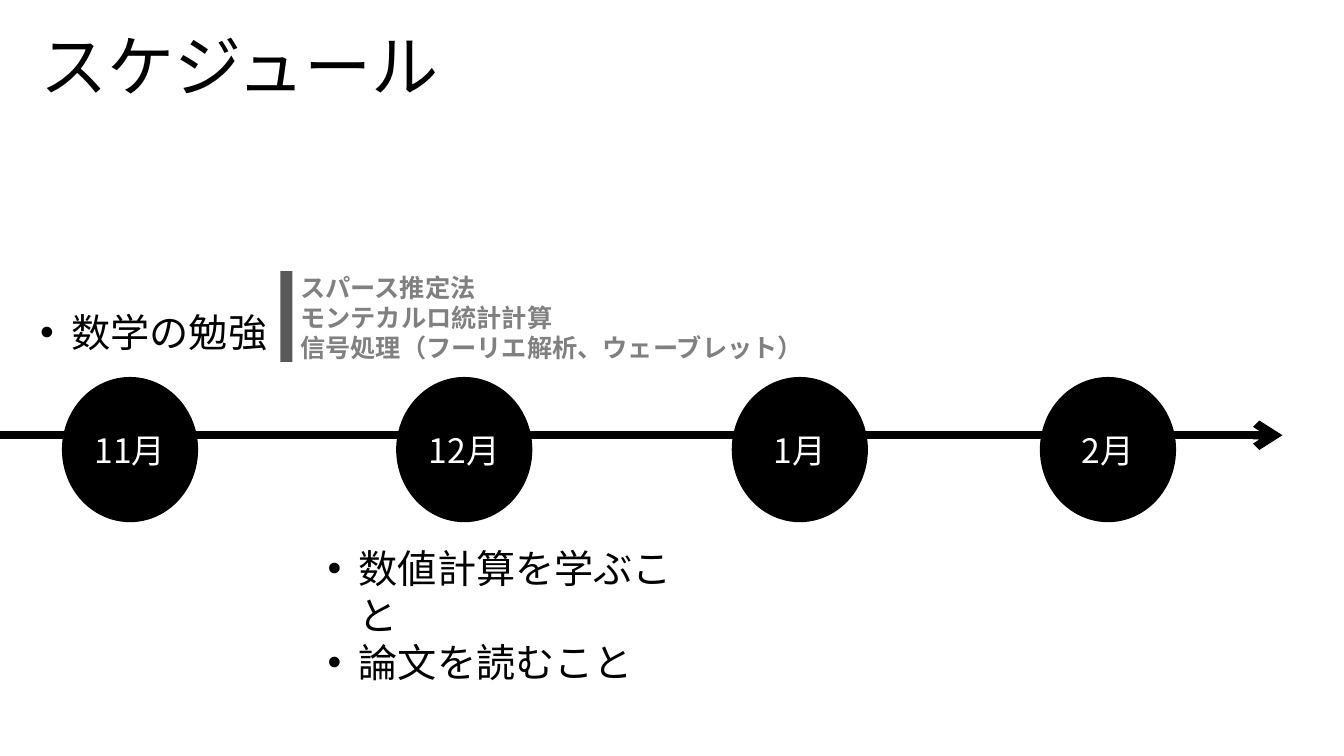
from lxml import etree
from pptx import Presentation, util as u
from pptx.dml.color import RGBColor
from pptx.enum import shapes, text
from pptx.oxml.ns import qn

BLACK = RGBColor(0, 0, 0)
WHITE = RGBColor(255, 255, 255)
GRAY = RGBColor(0x80, 0x80, 0x80)
DARK = RGBColor(0x59, 0x59, 0x59)
FACE = "Noto Sans CJK JP"
WIDE, HIGH = 13.33, 7.5
INDENT = u.Inches(0.31)


def inch(*sizes):
    return [u.Inches(size) for size in sizes]


def write(frame, lines, size, color, bold=False, bullet=False):
    frame.word_wrap = True
    for row, line in enumerate(lines):
        para = frame.add_paragraph() if row else frame.paragraphs[0]
        para.text = line
        if bullet:
            props = para._p.get_or_add_pPr()
            props.set("marL", str(INDENT))
            props.set("indent", str(-INDENT))
            etree.SubElement(props, qn("a:buFont"), typeface="Arial")
            etree.SubElement(props, qn("a:buChar"), char="•")
        font = para.font
        font.name, font.size, font.bold = FACE, u.Pt(size), bold
        font.color.rgb = color
        etree.SubElement(font._element, qn("a:ea"), typeface=FACE)


def add_text(slide, box, lines, size, color=BLACK, **style):
    frame = slide.shapes.add_textbox(*inch(*box)).text_frame
    write(frame, lines, size, color, **style)
    return frame


def add_solid(slide, kind, box, color):
    shape = slide.shapes.add_shape(kind, *inch(*box))
    shape.shadow.inherit = False
    shape.fill.solid()
    shape.fill.fore_color.rgb = color
    shape.line.fill.background()
    return shape


def add_title(slide, box):
    frame = add_text(slide, box, ["スケジュール"], 48)
    frame.vertical_anchor = text.MSO_ANCHOR.BOTTOM
    frame.paragraphs[0].line_spacing = 0.9


def add_axis(slide, box):
    left, top, width, height = box
    mid = top + height * 0.4
    axis = slide.shapes.add_connector(
        shapes.MSO_CONNECTOR.STRAIGHT, *inch(left, mid, left + width, mid))
    axis.line.color.rgb = BLACK
    axis.line.width = u.Pt(6)
    etree.SubElement(axis.line._get_or_add_ln(), qn("a:tailEnd"), type="arrow")
    etree.SubElement(axis._element.spPr, qn("a:effectLst"))


def add_months(slide, box):
    left, top, width, height = box
    months = {"11月": 0.066, "12月": 0.322, "1月": 0.579, "2月": 0.815}
    for name, share in months.items():
        place = (left + width * share, top, 1.33, height)
        disc = add_solid(slide, shapes.MSO_SHAPE.OVAL, place, BLACK)
        disc.line.color.rgb = BLACK
        disc.line.width = u.Pt(1.5)
        write(disc.text_frame, [name], 24, WHITE)
        disc.text_frame.vertical_anchor = text.MSO_ANCHOR.MIDDLE
        disc.text_frame.paragraphs[0].alignment = text.PP_ALIGN.CENTER


def add_topics(slide, box):
    left, top, width, height = box
    topics = ["スパース推定法", "モンテカルロ統計計算",
              "信号処理（フーリエ解析、ウェーブレット）"]
    add_text(slide, (left + 0.1, top, width - 0.1, height),
             topics, 18, GRAY, bold=True)
    add_solid(slide, shapes.MSO_SHAPE.RECTANGLE,
              (left, top + 0.04, 0.12, 0.9), DARK)


def main():
    deck = Presentation()
    deck.slide_width, deck.slide_height = inch(WIDE, HIGH)
    slide = deck.slides.add_slide(deck.slide_layouts[6])
    band = (-0.23, HIGH / 2, 12.95, 1.42)
    add_title(slide, (0.3, -0.3, 4.63, 1.4))
    add_text(slide, (0.3, 3.01, 2.48, 0.57), ["数学の勉強"], 28, bullet=True)
    add_axis(slide, band)
    add_months(slide, band)
    add_text(slide, (3.15, 5.35, 3.81, 1.04),
             ["数値計算を学ぶこと", "論文を読むこと"], 28, bullet=True)
    add_topics(slide, (2.78, 2.65, 6.77, 1.01))
    deck.save("out.pptx")


if __name__ == "__main__":
    main()
